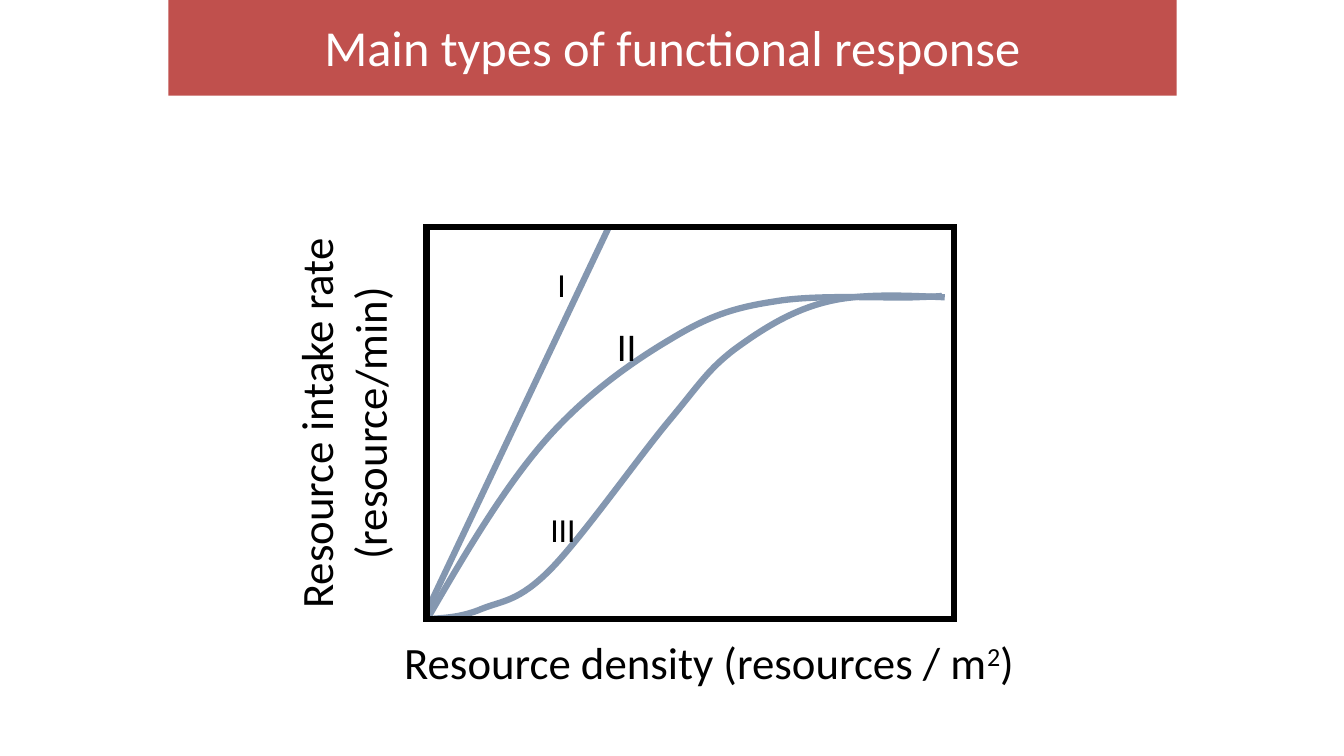
from pptx import Presentation
from pptx import util as u
from pptx.dml.color import RGBColor
from pptx.enum import shapes, text
from pptx.oxml.ns import qn
from lxml import etree

FONT = "Calibri"
BLACK, WHITE, RED, CURVE = "000000", "FFFFFF", "C0504D", "8497B0"
LINE_WIDTH = 4.5

# Content: positions are left, top, width, height in inches
TITLE = ("Main types of functional response", (1.67, -0.03, 10, 0.98))
X_LABEL = ([("Resource density (resources / m", False), ("2", True), (")", False)],
           (3.91, 6.25, 6.32, 0.64))
Y_LABEL = ([("Resource intake rate (resource/min)", False)], (1.46, 3.61, 3.88, 1.18))
FRAME = (4.23, 2.25, 5.23, 3.89)
TYPE_I = ((4.23, 6.07), (6.04, 2.25))
# Bézier curves: start, then two control points and an end per segment
TYPE_II = [(4.25, 6.12),
           (4.62, 5.48), (5, 4.84), (5.4, 4.38),
           (5.8, 3.92), (6.27, 3.59), (6.66, 3.36),
           (7.04, 3.13), (7.29, 3.05), (7.69, 2.99),
           (8.09, 2.92), (8.79, 2.96), (9.06, 2.95),
           (9.34, 2.94), (9.34, 2.94), (9.35, 2.93)]
TYPE_III = [(4.28, 6.14),
            (4.43, 6.13), (4.59, 6.12), (4.78, 6.04),
            (4.98, 5.96), (5.14, 5.97), (5.45, 5.66),
            (5.76, 5.35), (6.33, 4.54), (6.64, 4.17),
            (6.94, 3.81), (7.02, 3.67), (7.28, 3.47),
            (7.54, 3.28), (7.83, 3.09), (8.18, 3),
            (8.52, 2.91), (8.95, 2.93), (9.37, 2.95)]
OUTER_LABELS = ("I", "III", (5.36, 2.57, 0.84, 2.93))
MIDDLE_LABEL = ("II", (6.02, 3.15, 5, 0.57))
OUTER_GAP = 146     # points between the labels I and III
OUTER_INDENT = 0.07


def color(value):
    return RGBColor.from_string(value)


def inches(values):
    return [u.Inches(value) for value in values]


def write(shape, *lines, size=32, ink=BLACK, align=text.PP_ALIGN.LEFT,
          anchor=text.MSO_ANCHOR.TOP, wrap=True, gap=0):
    """Fill a shape with one paragraph per list of (text, is superscript) spans."""
    frame = shape.text_frame
    frame.word_wrap = wrap
    frame.auto_size = text.MSO_AUTO_SIZE.NONE
    frame.vertical_anchor = anchor
    for number, spans in enumerate(lines):
        para = frame.add_paragraph() if number else frame.paragraphs[0]
        para.alignment = align
        if number:
            para.space_before = u.Pt(gap)
        for words, raised in spans:
            span = para.add_run()
            span.text = words
            span.font.name = FONT
            span.font.size = u.Pt(size)
            span.font.color.rgb = color(ink)
            if raised:
                span.font._element.set("baseline", "30000")


def outline(shape, ink):
    shape.line.color.rgb = color(ink)
    shape.line.width = u.Pt(LINE_WIDTH)


def add_box(place, fill=None):
    box = slide.shapes.add_shape(shapes.MSO_SHAPE.RECTANGLE, *inches(place))
    box.shadow.inherit = False
    if fill:
        box.fill.solid()
        box.fill.fore_color.rgb = color(fill)
    else:
        box.fill.background()
    box.line.fill.background()
    return box


def add_curve(nodes):
    """Draw the nodes as a freeform, then join each three into a cubic segment."""
    start, *rest = [inches(node) for node in nodes]
    builder = slide.shapes.build_freeform(*start)
    builder.add_line_segments(rest, close=False)
    curve = builder.convert_to_shape()
    outline_path = next(curve._element.iter(qn("a:path")))
    steps = outline_path.findall(qn("a:lnTo"))
    for first in range(0, len(steps), 3):
        cubic = etree.SubElement(outline_path, qn("a:cubicBezTo"))
        for step in steps[first:first + 3]:
            cubic.append(step[0])
            outline_path.remove(step)
    curve.shadow.inherit = False
    curve.fill.background()
    outline(curve, CURVE)


deck = Presentation()
deck.slide_width, deck.slide_height = inches((13.33, 7.5))
slide = deck.slides.add_slide(deck.slide_layouts[5])

# Title band
title = slide.shapes.title
title.left, title.top, title.width, title.height = inches(TITLE[1])
title.fill.solid()
title.fill.fore_color.rgb = color(RED)
write(title, [(TITLE[0], False)], size=36, ink=WHITE,
      align=text.PP_ALIGN.CENTER, anchor=text.MSO_ANCHOR.MIDDLE)

# Axis labels
write(add_box(X_LABEL[1], WHITE), X_LABEL[0], wrap=False)
y_label = add_box(Y_LABEL[1], WHITE)
y_label.rotation = 270
y_label.text_frame.margin_left = y_label.text_frame.margin_right = 0
write(y_label, Y_LABEL[0], align=text.PP_ALIGN.CENTER)

# Response curves inside the plot frame
type_i = slide.shapes.add_connector(shapes.MSO_CONNECTOR.STRAIGHT,
                                    *inches(TYPE_I[0] + TYPE_I[1]))
outline(type_i, CURVE)
etree.SubElement(type_i._element.spPr, qn("a:effectLst"))
for nodes in (TYPE_II, TYPE_III):
    add_curve(nodes)

# Plot frame with sharp corners
plot = add_box(FRAME)
outline(plot, BLACK)
etree.SubElement(plot._element.spPr.find(qn("a:ln")), qn("a:miter"), lim="800000")

# Curve labels: I and III share a box, I slightly indented
upper, lower, place = OUTER_LABELS
outer = slide.shapes.add_textbox(*inches(place))
write(outer, [(upper, False)], [(lower, False)], size=24, gap=OUTER_GAP)
upper_format = outer.text_frame.paragraphs[0]._p.get_or_add_pPr()
upper_format.set("indent", str(u.Inches(OUTER_INDENT)))

middle, place = MIDDLE_LABEL
write(slide.shapes.add_textbox(*inches(place)), [(middle, False)], size=28)

deck.save("out.pptx")
